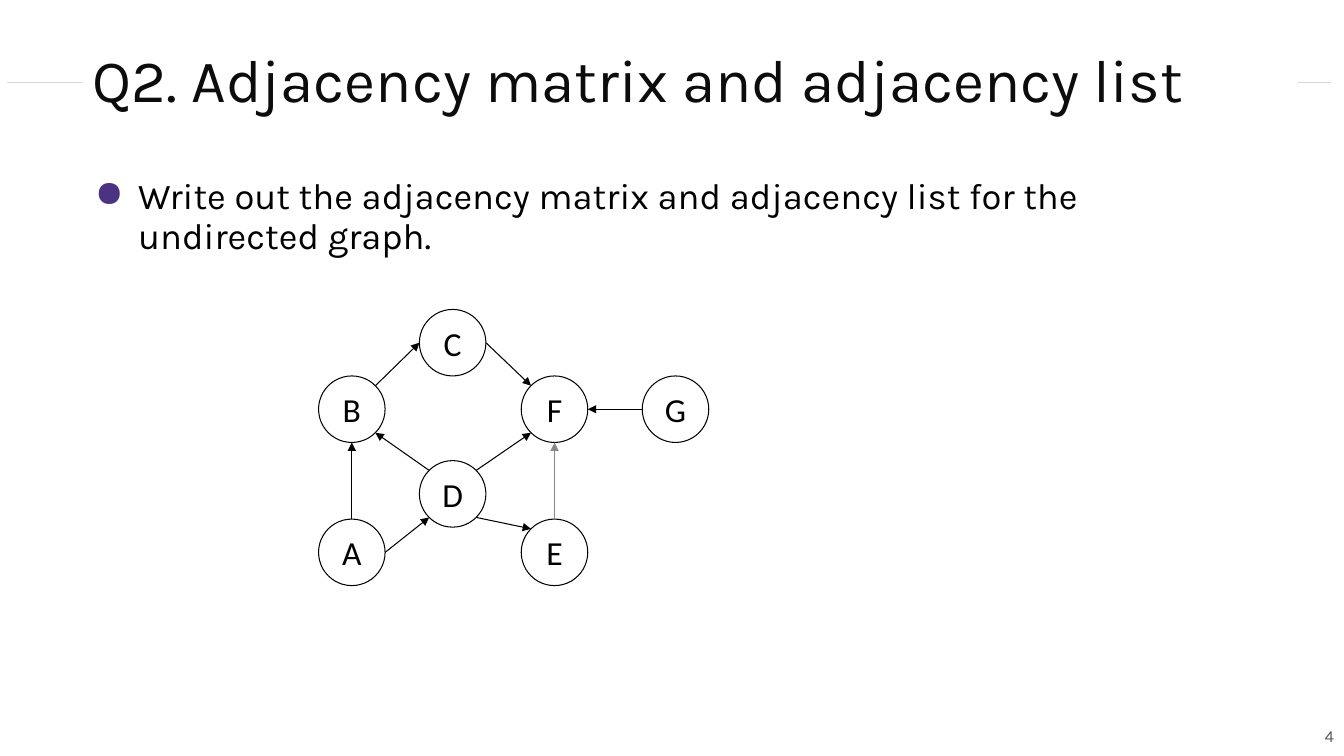
"""Build the adjacency matrix and adjacency list question slide."""
from dataclasses import dataclass
from math import cos, radians, sin

from lxml import etree
from pptx import Presentation
from pptx.dml.color import RGBColor
from pptx.enum.shapes import MSO_CONNECTOR, MSO_SHAPE
from pptx.enum.text import MSO_ANCHOR, PP_ALIGN
from pptx.oxml.ns import qn
from pptx.util import Inches, Pt

STRAIGHT = MSO_CONNECTOR.STRAIGHT
OVAL = MSO_SHAPE.OVAL
TOP, MIDDLE = MSO_ANCHOR.TOP, MSO_ANCHOR.MIDDLE
LEFT, CENTER, RIGHT = PP_ALIGN.LEFT, PP_ALIGN.CENTER, PP_ALIGN.RIGHT


@dataclass(frozen=True)
class Theme:
    """Colours, fonts and sizes of the slide."""
    white: str = "FFFFFF"
    black: str = "000000"
    title: str = "0C0C0C"
    bullet: str = "4C3282"
    rule: str = "D8D8D8"
    muted_edge: str = "888888"
    number: str = "595959"
    text_font: str = "Karla"
    node_font: str = "Calibri"
    title_size: float = 43
    body_size: float = 26
    node_size: float = 24
    number_size: float = 12
    line_width: float = 0.75


THEME = Theme()
NODE_SIZE = 0.66
NODES = {
    "A": (3.16, 5.15),
    "B": (3.16, 3.73),
    "D": (4.16, 4.57),
    "E": (5.17, 5.15),
    "F": (5.17, 3.73),
    "C": (4.16, 3.07),
    "G": (6.37, 3.73),
}
SITE_ANGLES = {"e": 0, "se": 45, "s": 90, "sw": 135,
               "w": 180, "nw": 225, "n": 270, "ne": 315}
EDGES = [
    ("A", "n", "B", "s", THEME.black),
    ("A", "e", "D", "sw", THEME.black),
    ("D", "nw", "B", "se", THEME.black),
    ("B", "ne", "C", "w", THEME.black),
    ("D", "ne", "F", "sw", THEME.black),
    ("D", "se", "E", "nw", THEME.black),
    ("E", "n", "F", "s", THEME.muted_edge),
    ("C", "e", "F", "nw", THEME.black),
    ("G", "w", "F", "e", THEME.black),
]


def rgb(colour):
    """Return the colour object of a hex string."""
    return RGBColor.from_string(colour)


def add_bullet(paragraph, colour):
    """Give a paragraph a coloured round bullet with a hanging indent."""
    properties = paragraph._p.get_or_add_pPr()
    properties.set("marL", str(Inches(0.5)))
    properties.set("indent", str(Inches(-0.43)))
    bullet_colour = etree.SubElement(properties, qn("a:buClr"))
    etree.SubElement(bullet_colour, qn("a:srgbClr"), val=colour)
    etree.SubElement(properties, qn("a:buChar"), char="●")


def write_text(shape, text, *, size, colour=THEME.black, font=THEME.text_font,
               align=LEFT, anchor=MIDDLE, margins=(0.1, 0.1), spacing=1.0,
               bullet=None):
    """Write one formatted paragraph into a shape."""
    frame = shape.text_frame
    frame.word_wrap = True
    frame.vertical_anchor = anchor
    frame.margin_left = frame.margin_right = Inches(margins[0])
    frame.margin_top = frame.margin_bottom = Inches(margins[1])
    paragraph = frame.paragraphs[0]
    paragraph.text = text
    if bullet:
        add_bullet(paragraph, bullet)
    paragraph.alignment = align
    paragraph.line_spacing = spacing
    paragraph.font.name = font
    paragraph.font.size = Pt(size)
    paragraph.font.color.rgb = rgb(colour)


def add_text(slide, text, left, top, width, height, *, fill=None, **text_format):
    """Add a text box, with an optional fill."""
    box = slide.shapes.add_textbox(Inches(left), Inches(top), Inches(width), Inches(height))
    if fill:
        box.fill.solid()
        box.fill.fore_color.rgb = rgb(fill)
    write_text(box, text, **text_format)


def add_line(slide, start, end, colour, arrow=False):
    """Add a straight line, with an optional arrowhead at its end."""
    points = [Inches(value) for value in (*start, *end)]
    connector = slide.shapes.add_connector(STRAIGHT, *points)
    connector.line.color.rgb = rgb(colour)
    connector.line.width = Pt(THEME.line_width)
    properties = connector._element.spPr
    if arrow:
        etree.SubElement(properties.find(qn("a:ln")), qn("a:tailEnd"), type="triangle")
    etree.SubElement(properties, qn("a:effectLst"))


def add_node(slide, label):
    """Add a labelled circle of the graph."""
    left, top = NODES[label]
    size = Inches(NODE_SIZE)
    node = slide.shapes.add_shape(OVAL, Inches(left), Inches(top), size, size)
    node.shadow.inherit = False
    node.fill.solid()
    node.fill.fore_color.rgb = rgb(THEME.white)
    node.line.color.rgb = rgb(THEME.black)
    node.line.width = Pt(THEME.line_width)
    write_text(node, label, size=THEME.node_size, font=THEME.node_font, align=CENTER)


def node_site(label, side):
    """Return the point on a node's outline at a compass side."""
    left, top = NODES[label]
    angle = radians(SITE_ANGLES[side])
    radius = NODE_SIZE / 2
    return left + radius * (1 + cos(angle)), top + radius * (1 + sin(angle))


def main():
    """Build and save the slide."""
    presentation = Presentation()
    presentation.slide_width = Inches(13.33)
    presentation.slide_height = Inches(7.5)
    slide = presentation.slides.add_slide(presentation.slide_layouts[6])

    add_text(slide, "4", 8.65, 7.1, 4.68, 0.4, size=THEME.number_size,
             colour=THEME.number, align=RIGHT)
    add_line(slide, (0.07, 0.82), (13.2, 0.82), THEME.rule)
    add_text(slide, "Q2. Adjacency matrix and adjacency list", 0.82, 0.29, 12.05, 1.11,
             fill=THEME.white, size=THEME.title_size, colour=THEME.title,
             margins=(0.1, 0.05), spacing=0.8)
    add_text(slide,
             "Write out the adjacency matrix and adjacency list for the undirected graph.",
             0.82, 1.72, 10.25, 1.62, size=THEME.body_size, anchor=TOP,
             margins=(0.05, 0.05), spacing=0.9, bullet=THEME.bullet)

    for label in NODES:
        add_node(slide, label)
    for source, source_side, target, target_side, colour in EDGES:
        add_line(slide, node_site(source, source_side), node_site(target, target_side),
                 colour, arrow=True)

    presentation.save("out.pptx")


if __name__ == "__main__":
    main()
